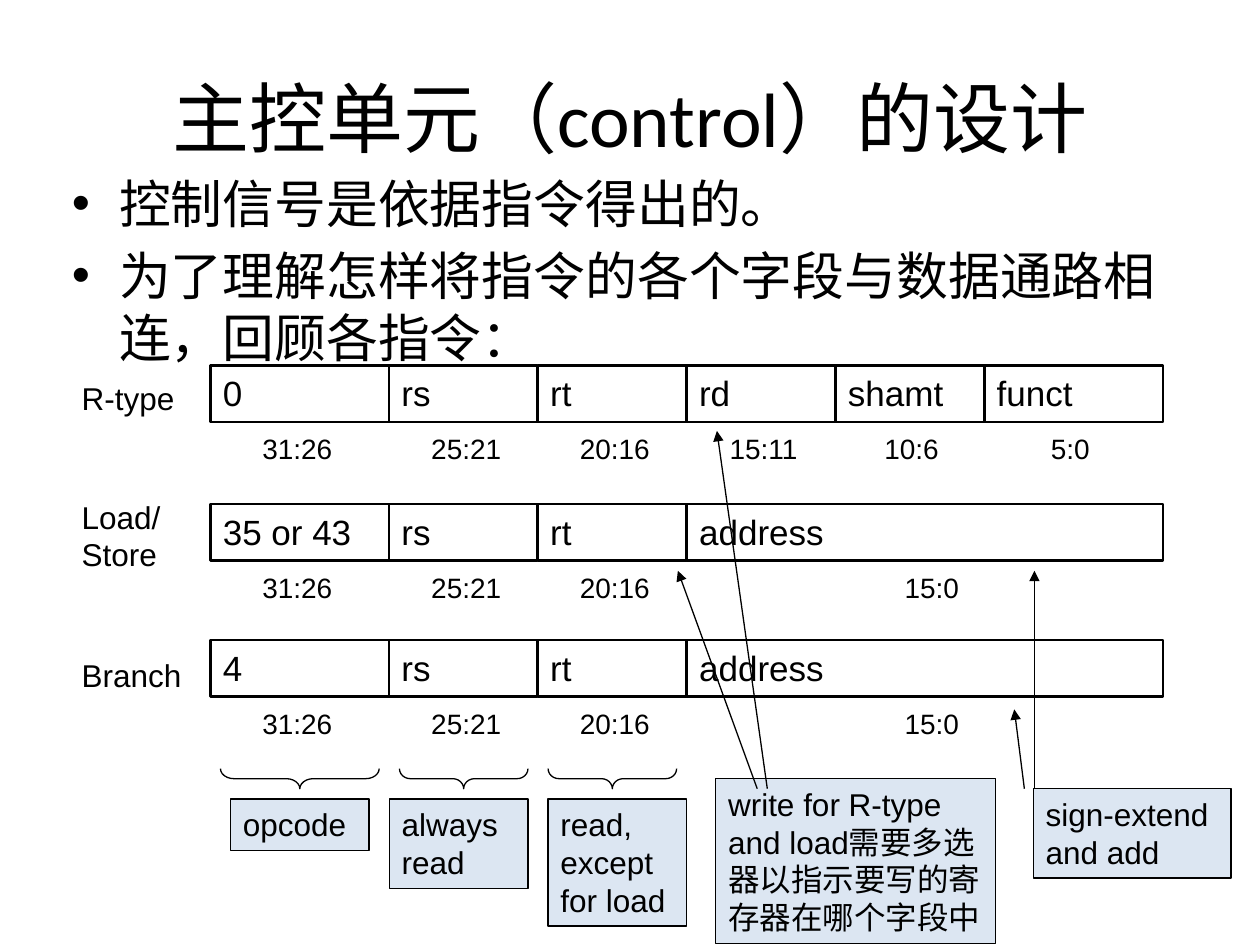
from lxml.etree import SubElement
from pptx import Presentation
from pptx.dml.color import RGBColor
from pptx.enum.shapes import MSO_CONNECTOR, MSO_SHAPE
from pptx.enum.text import MSO_ANCHOR, MSO_AUTO_SIZE, PP_ALIGN
from pptx.oxml.ns import qn
from pptx.util import Inches, Pt

# Content
TITLE = "主控单元（control）的设计"
BULLETS = [
    "控制信号是依据指令得出的。",
    "为了理解怎样将指令的各个字段与数据通路相连，回顾各指令：",
]
# format name, its label box (top, width, height), row top, (field, high bit, low bit)
FORMATS = [
    ("R-type", (2.96, 0.94, 0.4), 2.9,
     [("0", 31, 26), ("rs", 25, 21), ("rt", 20, 16),
      ("rd", 15, 11), ("shamt", 10, 6), ("funct", 5, 0)]),
    ("Load/\vStore", (3.9, 0.83, 0.7), 4,
     [("35 or 43", 31, 26), ("rs", 25, 21), ("rt", 20, 16), ("address", 15, 0)]),
    ("Branch", (5.16, 0.99, 0.4), 5.08,
     [("4", 31, 26), ("rs", 25, 21), ("rt", 20, 16), ("address", 15, 0)]),
]
# note, left, top, width, height
NOTES = [
    ("opcode", 1.83, 6.34, 1.1, 0.41),
    ("always read", 3.09, 6.34, 1.1, 0.71),
    ("read, except for load", 4.35, 6.34, 1.1, 1.01),
    ("write for R-type and load需要多选器以指示要写的寄存器在哪个字段中",
     5.68, 6.18, 2.22, 1.31),
    ("sign-extend and add", 8.2, 6.26, 1.57, 0.71),
]
# centre, span, curvature
BRACES = [(2.38, 1.26, 0.67), (3.68, 1.02, 0.54), (4.86, 1.02, 0.54)]
# from x, y, to x, y
ARROWS = [
    (6.01, 6.26, 5.38, 4.53),
    (6.09, 6.26, 5.69, 3.42),
    (8.13, 6.26, 8.05, 5.63),
    (8.21, 6.26, 8.21, 4.53),
]

# Layout in inches
WORD_LEFT, WORD_WIDTH, WORD_BITS = 1.67, 7.56, 32
FIELD_HEIGHT = 0.45
RANGE_DROP, RANGE_HEIGHT = 0.48, 0.37
RANGE_CENTRES = {"31:26": 2.36, "25:21": 3.7, "20:16": 4.88, "15:11": 6.06,
                 "10:6": 7.235, "5:0": 8.495, "15:0": 7.395}
BRACE_MIDDLE, BRACE_DEPTH = 6.18, 0.16
BLACK, PALE_BLUE = "000000", "DCE6F2"


def colour(hex_text):
    return RGBColor.from_string(hex_text)


def place(part, left, top, width, height):
    part.left, part.top = Inches(left), Inches(top)
    part.width, part.height = Inches(width), Inches(height)


def set_font(paragraph, size, name="Arial"):
    paragraph.font.size = Pt(size)
    paragraph.font.name = name
    paragraph.font.color.rgb = colour(BLACK)


def write(part, text, size, align=PP_ALIGN.LEFT, wrap=True):
    frame = part.text_frame
    frame.word_wrap = wrap
    frame.auto_size = MSO_AUTO_SIZE.SHAPE_TO_FIT_TEXT
    frame.vertical_anchor = MSO_ANCHOR.TOP
    paragraph = frame.paragraphs[0]
    paragraph.text = text
    paragraph.alignment = align
    set_font(paragraph, size)


def add_outline(slide, kind, box, line_width, fill=None):
    outline = slide.shapes.add_shape(kind, *map(Inches, box))
    outline.shadow.inherit = False
    outline.line.color.rgb = colour(BLACK)
    outline.line.width = Pt(line_width)
    if fill:
        outline.fill.solid()
        outline.fill.fore_color.rgb = colour(fill)
    else:
        outline.fill.background()
    return outline


def add_label(slide, text, box, size, align=PP_ALIGN.LEFT):
    label = slide.shapes.add_textbox(*map(Inches, box))
    write(label, text, size, align, wrap=False)


def add_format(slide, top, fields):
    bit_width = WORD_WIDTH / WORD_BITS
    for field, high, low in fields:
        left = WORD_LEFT + (WORD_BITS - 1 - high) * bit_width
        box = (left, top, (high - low + 1) * bit_width, FIELD_HEIGHT)
        write(add_outline(slide, MSO_SHAPE.RECTANGLE, box, 1.5), field, 20)
    for _, high, low in fields:
        bits = f"{high}:{low}"
        width = 0.13 + 0.126 * len(bits)
        box = (RANGE_CENTRES[bits] - width / 2, top + RANGE_DROP, width, RANGE_HEIGHT)
        add_label(slide, bits, box, 16, PP_ALIGN.CENTER)


def add_arrow(slide, ends):
    arrow = slide.shapes.add_connector(MSO_CONNECTOR.STRAIGHT, *map(Inches, ends))
    arrow.line.color.rgb = colour(BLACK)
    arrow.line.width = Pt(0.75)
    SubElement(arrow.line._get_or_add_ln(), qn("a:tailEnd"), type="triangle")
    SubElement(arrow._element.spPr, qn("a:effectLst"))


def main():
    deck = Presentation()
    deck.slide_width, deck.slide_height = Inches(10), Inches(7.5)
    slide = deck.slides.add_slide(deck.slide_layouts.get_by_name("Title and Content"))

    # Title and bullets
    title, body = slide.placeholders
    place(title, 0.5, 0.3, 9, 1.25)
    title.text_frame.text = TITLE
    set_font(title.text_frame.paragraphs[0], 44, "Calibri")
    place(body, 0.47, 1.31, 9, 1.42)
    body.text_frame.text = "\n".join(BULLETS)
    body.text_frame.auto_size = MSO_AUTO_SIZE.NONE
    for bullet in body.text_frame.paragraphs:
        set_font(bullet, 29.6, "Calibri")

    # Instruction formats
    for name, (label_top, width, height), top, fields in FORMATS:
        add_format(slide, top, fields)
        add_label(slide, name, (0.55, label_top, width, height), 18)

    # Braces, turned to open upwards
    for centre, span, curvature in BRACES:
        box = (centre - BRACE_DEPTH / 2, BRACE_MIDDLE - span / 2, BRACE_DEPTH, span)
        brace = add_outline(slide, MSO_SHAPE.LEFT_BRACE, box, 0.75)
        brace.rotation = 270
        brace.adjustments[0] = curvature

    # Notes and the arrows from them
    for note, *box in NOTES:
        write(add_outline(slide, MSO_SHAPE.RECTANGLE, box, 0.75, PALE_BLUE), note, 18)
    for ends in ARROWS:
        add_arrow(slide, ends)

    deck.save("out.pptx")


if __name__ == "__main__":
    main()
